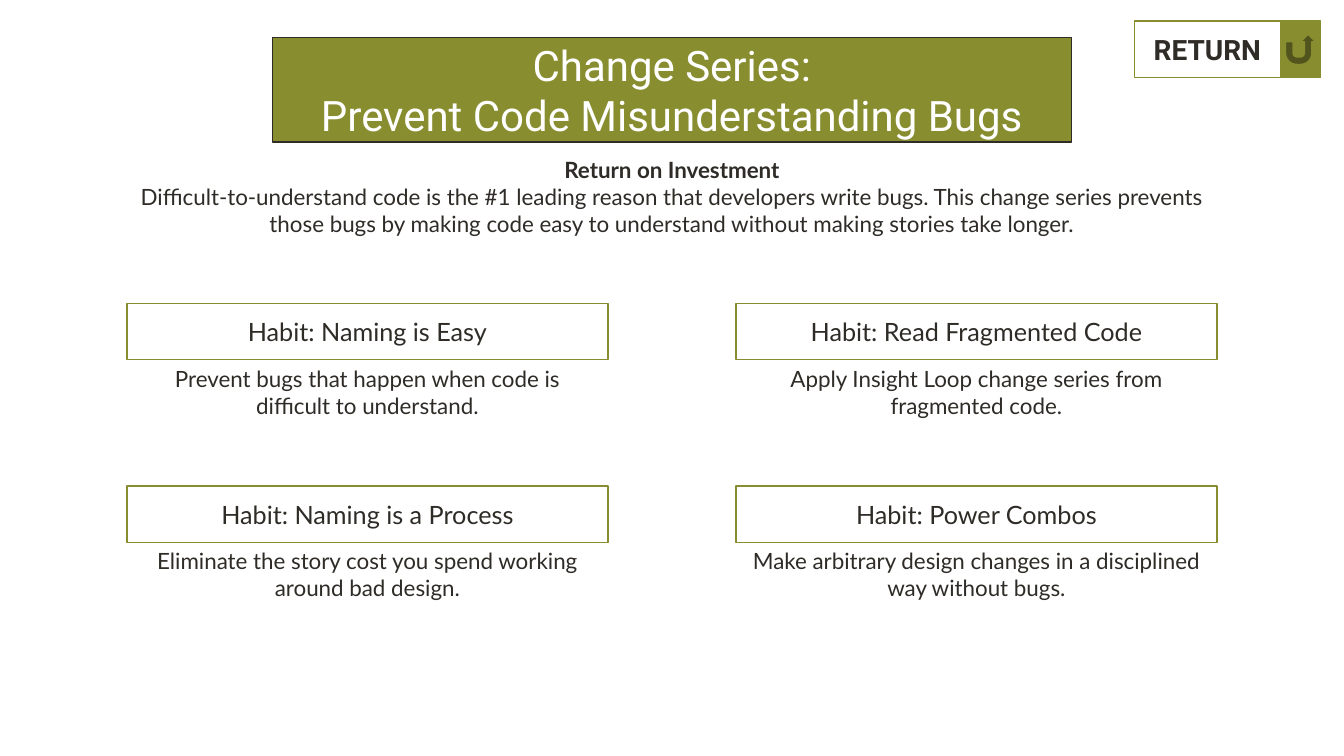
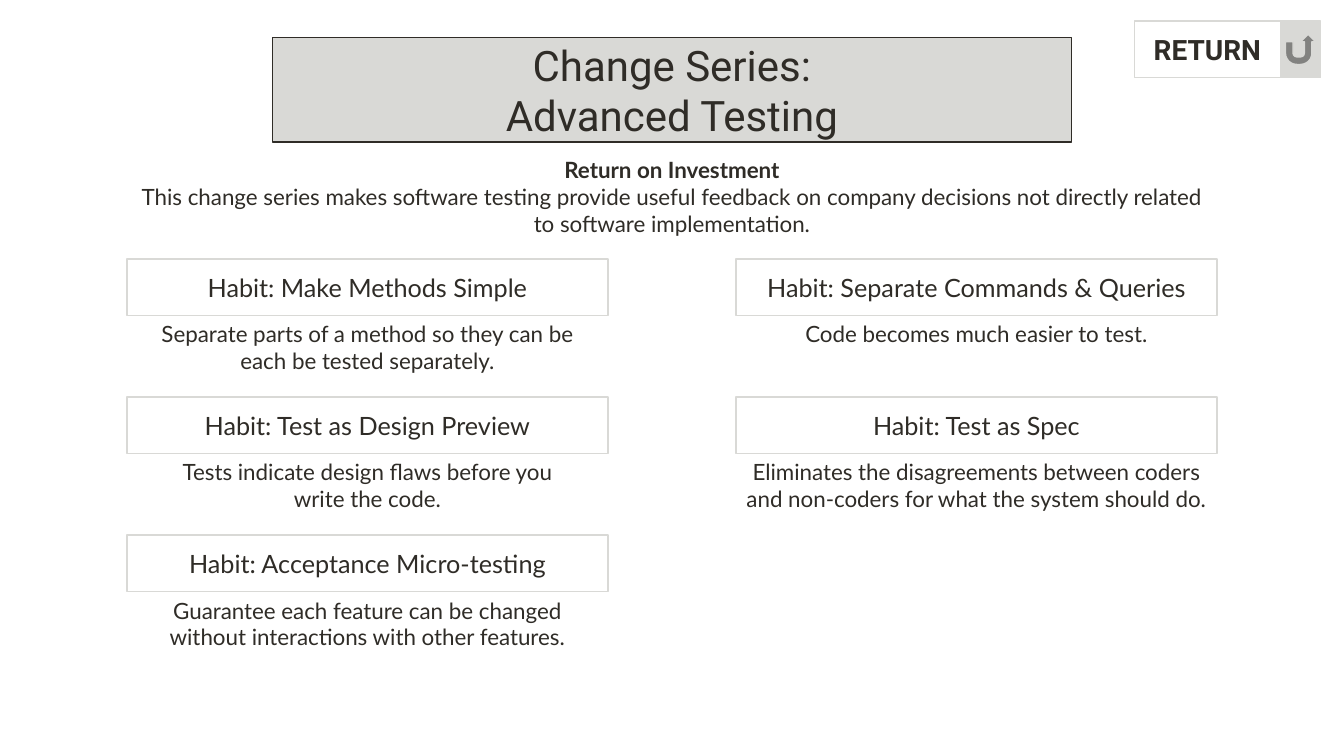
from pptx import Presentation
from pptx import util as u
from pptx.dml import color as col
from pptx.enum import shapes as sh, text as tx

INK = "2F2C27"
WHITE = "FFFFFF"
OLIVE = "888D30"
GREY = "D9D9D6"
LEFTS = (1.26, 7.3)
WIDE, HIGH = 4.77, 0.56

SERIES = [
    dict(
        name="Prevent Code Misunderstanding Bugs", hue=OLIVE, ink=WHITE,
        gain="Difficult-to-understand code is the #1 leading reason that developers "
             "write bugs. This change series prevents those bugs by making code easy "
             "to understand without making stories take longer.",
        top=3.01, step=1.81,
        habits=[
            [("Naming is Easy",
              ["Prevent bugs that happen when code is difficult to understand."]),
             ("Naming is a Process",
              ["Eliminate the story cost you spend working around bad design."])],
            [("Read Fragmented Code",
              ["Apply Insight Loop change series from fragmented code."]),
             ("Power Combos",
              ["Make arbitrary design changes in a disciplined way without bugs."])],
        ]),
    dict(
        name="Advanced Testing", hue=GREY, ink=INK,
        gain="This change series makes software testing provide useful feedback on "
             "company decisions not directly related to software implementation.",
        top=2.57, step=1.37,
        habits=[
            [("Make Methods Simple",
              ["Separate parts of a method so they can be each be tested separately."]),
             ("Test as Design Preview",
              ["Tests indicate design flaws before you", "write the code."]),
             ("Acceptance Micro-testing",
              ["Guarantee each feature can be changed without interactions with "
               "other features."])],
            [("Separate Commands & Queries",
              ["Code becomes much easier to test."]),
             ("Test as Spec",
              ["Eliminates the disagreements between coders and non-coders for what "
               "the system should do."])],
        ]),
]


def rgb(code):
    return col.RGBColor.from_string(code)


def area(*sides):
    return [u.Inches(side) for side in sides]


def write(shape, lines, size=16, font="Lato", ink=INK, bold=0, mid=False):
    frame = shape.text_frame
    frame.word_wrap = True
    frame.auto_size = tx.MSO_AUTO_SIZE.NONE
    frame.vertical_anchor = tx.MSO_ANCHOR.MIDDLE if mid else tx.MSO_ANCHOR.TOP
    for n, line in enumerate(lines):
        para = frame.add_paragraph() if n else frame.paragraphs[0]
        para.alignment = tx.PP_ALIGN.CENTER
        run = para.add_run()
        run.text = line
        run.font.size = u.Pt(size)
        run.font.name = font
        run.font.bold = n < bold
        run.font.color.rgb = rgb(ink)


def paint(shape, line, fill=None):
    if fill:
        shape.fill.solid()
        shape.fill.fore_color.rgb = rgb(fill)
    else:
        shape.fill.background()
    shape.line.color.rgb = rgb(line)
    shape.line.width = u.Pt(1)


def box(tree, place, line, fill=None, kind=sh.MSO_SHAPE.RECTANGLE):
    shape = tree.add_shape(kind, *area(*place))
    shape.shadow.inherit = False
    paint(shape, line, fill)
    return shape


def note(tree, place, lines, **form):
    write(tree.add_textbox(*area(*place)), lines, **form)


def head(slide, name, hue, ink):
    title = slide.shapes.title
    title.left, title.top, title.width, title.height = area(2.7, 0.37, 7.93, 1.04)
    paint(title, INK, hue)
    write(title, ["Change Series:", name], size=30, font="Roboto", ink=ink, mid=True)


def back(tree, hue):
    label = box(tree, (11.25, 0.21, 1.45, HIGH), hue)
    write(label, ["RETURN"], size=20, font="Roboto", bold=1, mid=True)
    box(tree, (12.7, 0.21, 0.4, HIGH), hue, hue, sh.MSO_SHAPE.ACTION_BUTTON_RETURN)


def habit(tree, left, top, hue, name, lines):
    group = tree.add_group_shape().shapes
    label = box(group, (left, top, WIDE, HIGH), hue)
    write(label, ["Habit: " + name], size=18, mid=True)
    note(group, (left, top + HIGH, WIDE, 0.64), lines)


def build(deck, name, hue, ink, gain, top, step, habits):
    slide = deck.slides.add_slide(deck.slide_layouts[5])
    tree = slide.shapes
    head(slide, name, hue, ink)
    back(tree, hue)
    note(tree, (1.27, 1.5, 10.79, 0.91), ["Return on Investment", gain], bold=1)
    for left, column in zip(LEFTS, habits):
        for row, (label, lines) in enumerate(column):
            habit(tree, left, top + row * step, hue, label, lines)


def main():
    deck = Presentation()
    deck.slide_width, deck.slide_height = area(13.33, 7.5)
    for series in SERIES:
        build(deck, **series)
    deck.save("out.pptx")


if __name__ == "__main__":
    main()
